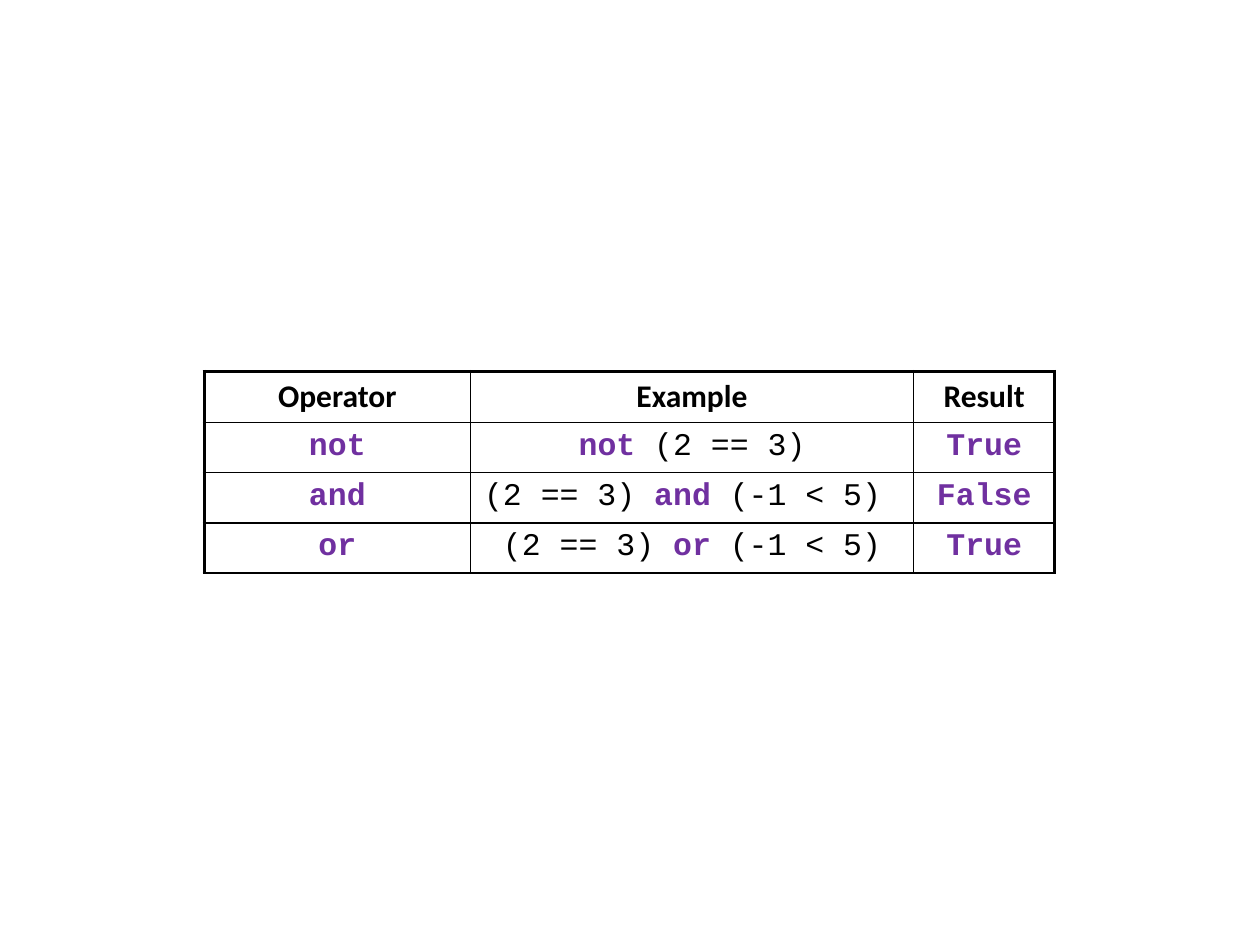
from dataclasses import dataclass

from lxml import etree
from pptx import Presentation, util as u
from pptx.dml.color import RGBColor
from pptx.enum import text
from pptx.oxml import ns


@dataclass(frozen=True)
class Theme:
    """Colours, fonts, type size and line widths."""
    ink: str = "000000"
    keyword: str = "7030A0"
    heading_font: str = "Calibri"
    code_font: str = "Courier New"
    size: int = 18
    thin: float = 1
    thick: float = 2.25


THEME = Theme()
KEYWORDS = {"not", "and", "or", "True", "False"}
HEADINGS = ["Operator", "Example", "Result"]
EXAMPLES = [
    (["not"], ["not", " (2 == 3)"], ["True"]),
    (["and"], ["(2 == 3) ", "and", " (-1 < 5) "], ["False"]),
    (["or"], ["(2 == 3) ", "or", " (-1 < 5)"], ["True"]),
]
COL_WIDTHS = [5.36, 8.94, 2.84]
ROW_HEIGHT = 1.01


def add_run(p, content, font, color, bold):
    """Append one formatted run to a paragraph."""
    r = p.add_run()
    r.text = content
    r.font.name = font
    r.font.size = u.Pt(THEME.size)
    r.font.bold = bold
    r.font.color.rgb = RGBColor.from_string(color)


def add_code(p, pieces):
    """Append code pieces, with keywords bold and coloured."""
    for piece in pieces:
        is_keyword = piece in KEYWORDS
        color = THEME.keyword if is_keyword else THEME.ink
        add_run(p, piece, THEME.code_font, color, is_keyword)


def set_borders(cell, widths):
    """Draw the cell borders, given widths in left, right, top, bottom order."""
    tc_pr = cell._tc.get_or_add_tcPr()
    for i, (side, width) in enumerate(zip("LRTB", widths)):
        ln = etree.Element(ns.qn(f"a:ln{side}"), w=str(u.Pt(width)))
        fill = etree.SubElement(ln, ns.qn("a:solidFill"))
        etree.SubElement(fill, ns.qn("a:srgbClr"), val=THEME.ink)
        tc_pr.insert(i, ln)


def format_cell(cell, row, col):
    """Clear the fill, draw the borders and return the centred paragraph."""
    cell.fill.background()
    set_borders(cell, [
        THEME.thick if col == 0 else THEME.thin,
        THEME.thick if col == len(HEADINGS) - 1 else THEME.thin,
        THEME.thick if row == 0 else THEME.thin,
        THEME.thin,
    ])
    p = cell.text_frame.paragraphs[0]
    p.alignment = text.PP_ALIGN.CENTER
    return p


def add_operator_table(s):
    """Add the table of logical operators."""
    n_rows = len(EXAMPLES) + 1
    table = s.shapes.add_table(
        n_rows, len(HEADINGS), u.Cm(4.12), u.Cm(7.49),
        u.Cm(sum(COL_WIDTHS)), u.Cm(ROW_HEIGHT * n_rows)).table
    table.first_row = table.horz_banding = False
    for column, width in zip(table.columns, COL_WIDTHS):
        column.width = u.Cm(width)
    for col, heading in enumerate(HEADINGS):
        p = format_cell(table.cell(0, col), 0, col)
        add_run(p, heading, THEME.heading_font, THEME.ink, True)
    for row, example in enumerate(EXAMPLES, start=1):
        for col, pieces in enumerate(example):
            add_code(format_cell(table.cell(row, col), row, col), pieces)


def main():
    """Build and save the slide."""
    prs = Presentation()
    prs.slide_width, prs.slide_height = u.Cm(25.4), u.Cm(19.05)
    s = prs.slides.add_slide(prs.slide_layouts[6])
    add_operator_table(s)
    prs.save("out.pptx")


if __name__ == "__main__":
    main()
